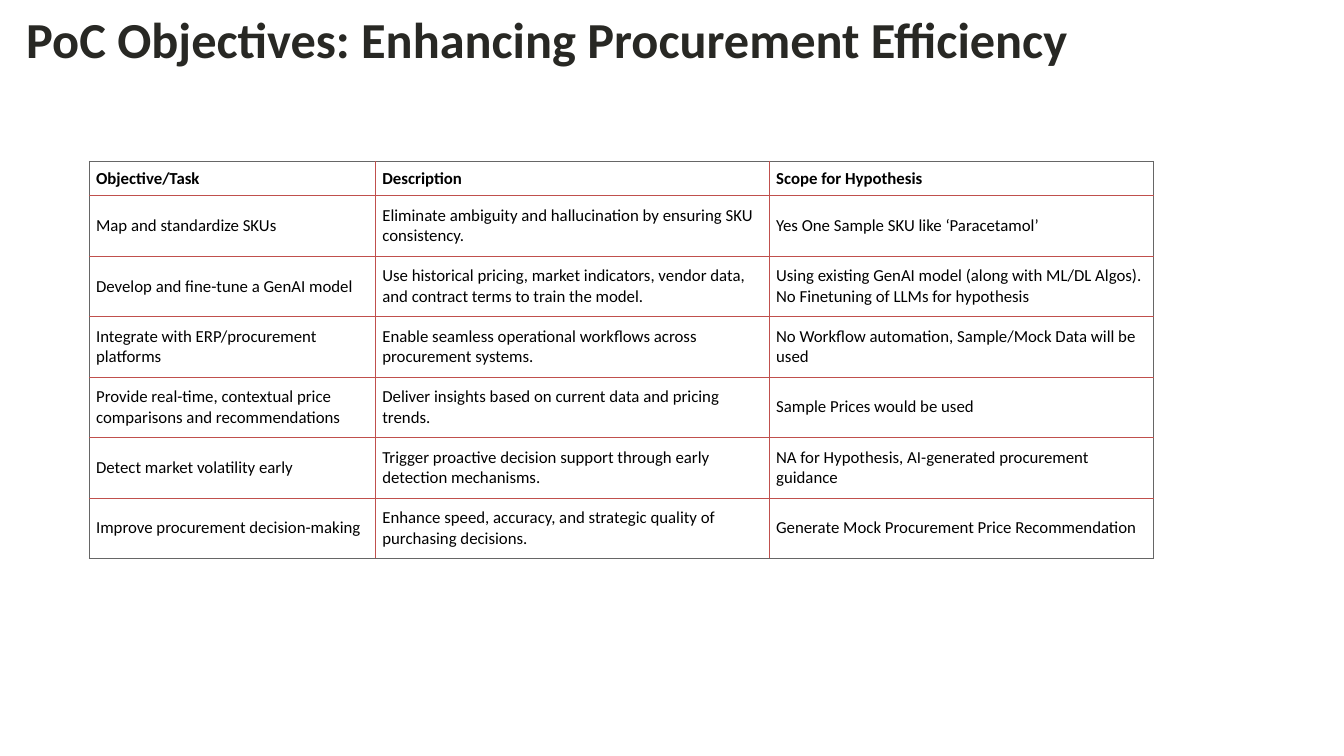
from dataclasses import dataclass

from lxml.etree import SubElement as Sub
from pptx import Presentation as Deck
from pptx.dml.color import RGBColor as Color
from pptx.enum.text import MSO_ANCHOR as Anchor
from pptx.oxml.ns import qn
from pptx.util import Inches, Pt


@dataclass(frozen=True)
class Theme:
    font: str = "Calibri"
    head: float = 54
    body: float = 18
    lead: float = 40
    rule: float = 1
    dark: str = "282824"
    ink: str = "000000"
    edge: str = "666666"
    grid: str = "C0504D"


@dataclass(frozen=True)
class Box:
    left: float
    top: float
    width: float
    height: float

    def spans(self) -> list:
        return [Inches(v) for v in (self.left, self.top, self.width, self.height)]


@dataclass(frozen=True)
class Task:
    name: str
    about: str
    scope: str

    def texts(self) -> tuple:
        return self.name, self.about, self.scope


THEME = Theme()
TITLE = "PoC Objectives: Enhancing Procurement Efficiency"
WIDTHS = (4.26, 5.86, 5.71)
HEAD_ROW, TASK_ROW = 0.51, 0.9
TASKS = (
    Task("Objective/Task", "Description", "Scope for Hypothesis"),
    Task("Map and standardize SKUs",
         "Eliminate ambiguity and hallucination by ensuring SKU consistency.",
         "Yes One Sample SKU like ‘Paracetamol’"),
    Task("Develop and fine-tune a GenAI model",
         "Use historical pricing, market indicators, vendor data, and contract terms to train the model.",
         "Using existing GenAI model (along with ML/DL Algos). No Finetuning of LLMs for hypothesis"),
    Task("Integrate with ERP/procurement platforms",
         "Enable seamless operational workflows across procurement systems.",
         "No Workflow automation, Sample/Mock Data will be used"),
    Task("Provide real-time, contextual price comparisons and recommendations",
         "Deliver insights based on current data and pricing trends.",
         "Sample Prices would be used"),
    Task("Detect market volatility early",
         "Trigger proactive decision support through early detection mechanisms.",
         "NA for Hypothesis, AI-generated procurement guidance"),
    Task("Improve procurement decision-making",
         "Enhance speed, accuracy, and strategic quality of purchasing decisions.",
         "Generate Mock Procurement Price Recommendation"),
)


def apply(item, form: dict) -> None:
    for key, value in form.items():
        setattr(item, key, value)


def write(para, text: str, size: float, tint: str, bold: bool) -> None:
    run = para.add_run()
    run.text = text
    apply(run.font, {"name": THEME.font, "size": Pt(size), "bold": bold})
    run.font.color.rgb = Color.from_string(tint)


def border(cell, tints: dict) -> None:
    props = cell._tc.get_or_add_tcPr()
    for side, tint in tints.items():
        line = Sub(props, qn(f"a:ln{side}"), w=str(Pt(THEME.rule)))
        fill = Sub(line, qn("a:solidFill"))
        Sub(fill, qn("a:srgbClr"), val=tint)


def add_title(slide, box: Box) -> None:
    frame = slide.shapes.add_textbox(*box.spans()).text_frame
    sides = ("left", "top", "right", "bottom")
    apply(frame, {"word_wrap": False, **{f"margin_{s}": 0 for s in sides}})
    para = frame.paragraphs[0]
    para.line_spacing = Pt(THEME.lead)
    write(para, TITLE, THEME.head, THEME.dark, True)


def add_tasks(slide, box: Box) -> None:
    count, span = len(TASKS), len(WIDTHS)
    table = slide.shapes.add_table(count, span, *box.spans()).table
    apply(table, {"first_row": False, "horz_banding": False})
    for col, width in zip(table.columns, WIDTHS):
        col.width = Inches(width)
    for r, task in enumerate(TASKS):
        table.rows[r].height = Inches(TASK_ROW if r else HEAD_ROW)
        for c, text in enumerate(task.texts()):
            cell = table.cell(r, c)
            cell.vertical_anchor = Anchor.MIDDLE
            write(cell.text_frame.paragraphs[0], text, THEME.body, THEME.ink, r == 0)
            outer = {"L": c == 0, "R": c == span - 1, "T": r == 0, "B": r == count - 1}
            border(cell, {s: THEME.edge if out else THEME.grid for s, out in outer.items()})
            cell.fill.background()


def main() -> None:
    deck = Deck()
    apply(deck, {"slide_width": Inches(20), "slide_height": Inches(11.25)})
    slide = deck.slides.add_slide(deck.slide_layouts[6])
    add_title(slide, Box(0.39, 0.46, 15.67, 0.72))
    add_tasks(slide, Box(1.33, 2.4, sum(WIDTHS), HEAD_ROW + TASK_ROW * (len(TASKS) - 1)))
    deck.save("out.pptx")


if __name__ == "__main__":
    main()
